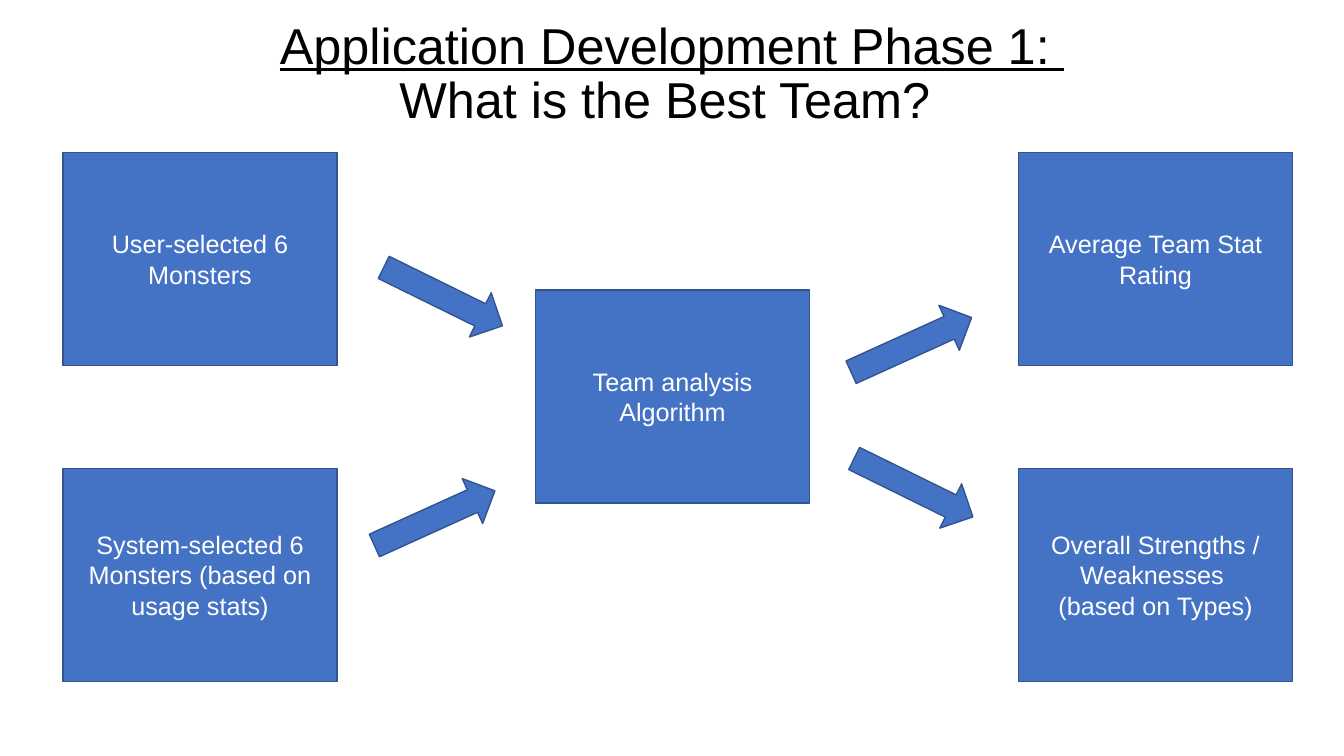
from dataclasses import dataclass

from pptx import Presentation
from pptx import util as u
from pptx.dml.color import RGBColor
from pptx.enum import shapes, text

PX = 9525  # EMU in one px, at 96 px to the inch
FONT = "Arial"
BLACK = RGBColor(0x00, 0x00, 0x00)
WHITE = RGBColor(0xFF, 0xFF, 0xFF)
BLUE = RGBColor(0x44, 0x72, 0xC4)
DARK_BLUE = RGBColor(0x32, 0x54, 0x91)

BOX_SIZE = (261, 203)
ARROW_SIZE = (126, 47)
INPUT_LEFT, ALGORITHM_LEFT, OUTPUT_LEFT = 60, 510, 970
UPPER_TOP, MIDDLE_TOP, LOWER_TOP = 145, 276, 446
DOWNWARD, UPWARD = 26.2, -24.4


@dataclass(frozen=True)
class Box:
    left: int
    top: int
    paragraphs: tuple[str, ...]


@dataclass(frozen=True)
class Arrow:
    left: int
    top: int
    rotation: float


BOXES = (
    Box(INPUT_LEFT, UPPER_TOP, ("User-selected 6 Monsters",)),
    Box(INPUT_LEFT, LOWER_TOP, ("System-selected 6 Monsters (based on usage stats)",)),
    Box(ALGORITHM_LEFT, MIDDLE_TOP, ("Team analysis Algorithm",)),
    Box(OUTPUT_LEFT, UPPER_TOP, ("Average Team Stat Rating",)),
    Box(OUTPUT_LEFT, LOWER_TOP, ("Overall Strengths / Weaknesses ", "(based on Types)")),
)
ARROWS = (
    Arrow(359, 259, DOWNWARD),
    Arrow(351, 470, UPWARD),
    Arrow(805, 305, UPWARD),
    Arrow(807, 441, DOWNWARD),
)


def format_font(font, size: int, color: RGBColor, underline: bool = False) -> None:
    values = {"name": FONT, "size": u.Pt(size), "underline": underline}
    for name, value in values.items():
        setattr(font, name, value)
    font.color.rgb = color


def place(shape, left: int, top: int, width: int, height: int) -> None:
    values = {"left": left, "top": top, "width": width, "height": height}
    for name, value in values.items():
        setattr(shape, name, value * PX)


def add_blue_shape(slide, kind, left: int, top: int, size: tuple[int, int]):
    shape = slide.shapes.add_shape(kind, *(v * PX for v in (left, top, *size)))
    shape.shadow.inherit = False
    shape.fill.solid()
    shape.fill.fore_color.rgb = BLUE
    shape.line.color.rgb = DARK_BLUE
    shape.line.width = u.Pt(1)
    return shape


def add_box(slide, box: Box) -> None:
    shape = add_blue_shape(
        slide, shapes.MSO_SHAPE.RECTANGLE, box.left, box.top, BOX_SIZE
    )
    frame = shape.text_frame
    frame.word_wrap = True
    frame.vertical_anchor = text.MSO_ANCHOR.MIDDLE
    frame.text = "\n".join(box.paragraphs)
    for paragraph in frame.paragraphs:
        paragraph.alignment = text.PP_ALIGN.CENTER
        for run in paragraph.runs:
            format_font(run.font, 18, WHITE)


def add_arrow(slide, arrow: Arrow) -> None:
    shape = add_blue_shape(
        slide, shapes.MSO_SHAPE.RIGHT_ARROW, arrow.left, arrow.top, ARROW_SIZE
    )
    shape.rotation = arrow.rotation


def fill_title(title) -> None:
    place(title, 0, 2, 1280, 139)
    frame = title.text_frame
    frame.word_wrap = True
    frame.vertical_anchor = text.MSO_ANCHOR.MIDDLE
    frame.text = "Application Development Phase 1: \vWhat is the Best Team? "
    paragraph = frame.paragraphs[0]
    paragraph.alignment = text.PP_ALIGN.CENTER
    paragraph.line_spacing = 0.9
    for run, underline in zip(paragraph.runs, (True, False)):
        format_font(run.font, 36, BLACK, underline)


def main() -> None:
    presentation = Presentation()
    presentation.slide_width = 1280 * PX
    presentation.slide_height = 720 * PX
    title_only = presentation.slide_layouts.get_by_name("Title Only")
    slide = presentation.slides.add_slide(title_only)
    fill_title(slide.shapes.title)
    for box in BOXES:
        add_box(slide, box)
    for arrow in ARROWS:
        add_arrow(slide, arrow)
    presentation.save("out.pptx")


if __name__ == "__main__":
    main()
